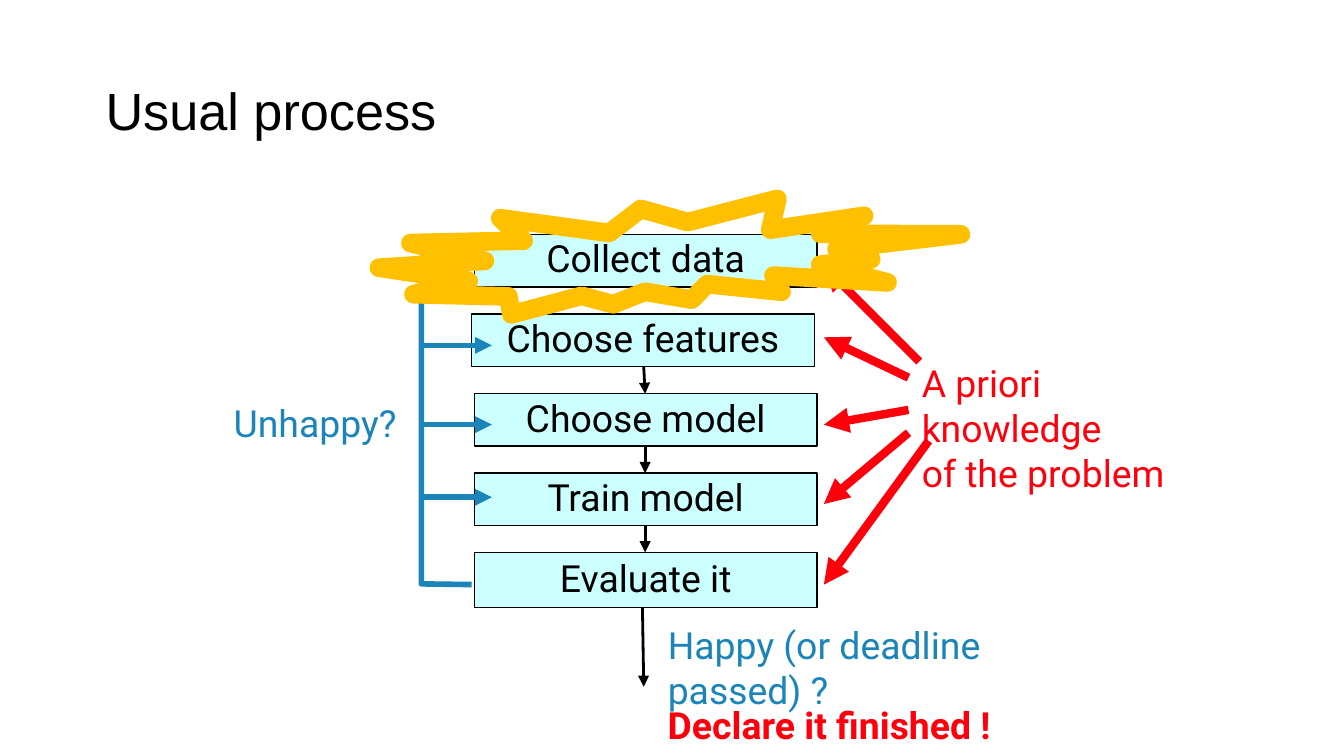
from dataclasses import dataclass

from lxml import etree
from pptx import Presentation
from pptx.dml.color import RGBColor
from pptx.enum.shapes import MSO_CONNECTOR, MSO_SHAPE
from pptx.enum.text import MSO_ANCHOR, MSO_AUTO_SIZE, PP_ALIGN
from pptx.oxml.ns import qn
from pptx.util import Inches, Pt

STRAIGHT = MSO_CONNECTOR.STRAIGHT
RECTANGLE, BURST = MSO_SHAPE.RECTANGLE, MSO_SHAPE.EXPLOSION2
MIDDLE, TOP = MSO_ANCHOR.MIDDLE, MSO_ANCHOR.TOP
LEFT, CENTER = PP_ALIGN.LEFT, PP_ALIGN.CENTER
NO_AUTOFIT = MSO_AUTO_SIZE.NONE

COLORS = {"black": "000000", "box": "CCFFFF", "red": "FE000C",
          "blue": "1B85B9", "amber": "FFC000"}

# Grid of 100 columns by 56.25 rows, with square cells (16:9)
COLUMNS, ROWS = 100, 56.25
CELL = Inches(10) / COLUMNS

FLOW_LEFT, FLOW_TOP = 35.3, 17.45
STEP_WIDTH, STEP_HEIGHT, STEP_PITCH = 25.5, 3.9, 5.92
LOOP_LEFT, LOOP_TIP = 31.35, 36.6
KNOWLEDGE_TIP = 61.3


@dataclass(frozen=True)
class Step:
    text: str
    left: float = FLOW_LEFT
    height: float = STEP_HEIGHT


@dataclass(frozen=True)
class Arrow:
    start: tuple[float, float]
    end: tuple[float, float]


@dataclass(frozen=True)
class Label:
    lines: tuple[str, ...]
    box: tuple[float, float, float, float]
    color: str
    bold: bool = False


def grid(*cells: float) -> list[int]:
    return [round(cell * CELL) for cell in cells]


def rgb(name: str) -> RGBColor:
    return RGBColor.from_string(COLORS[name])


def style_line(shape, color: str, width: float, arrowhead: bool = False) -> None:
    shape.line.color.rgb = rgb(color)
    shape.line.width = Pt(width)
    outline = shape._element.spPr.find(qn("a:ln"))
    etree.SubElement(outline, qn("a:round"))
    if arrowhead:
        etree.SubElement(outline, qn("a:tailEnd"), type="triangle")


def write(frame, lines: tuple[str, ...], color: str, size: float = 20,
          font: str = "Roboto", bold: bool = False, align=LEFT,
          anchor=TOP, spacing: float = 1.0) -> None:
    frame.text = "\n".join(lines)
    frame.word_wrap = True
    frame.auto_size = NO_AUTOFIT
    frame.vertical_anchor = anchor
    for paragraph in frame.paragraphs:
        paragraph.alignment = align
        paragraph.line_spacing = spacing
        for run in paragraph.runs:
            run.font.name = font
            run.font.size = Pt(size)
            run.font.bold = bold
            run.font.color.rgb = rgb(color)


def draw_step(shapes, step: Step, top: float) -> None:
    box = shapes.add_shape(RECTANGLE, *grid(step.left, top, STEP_WIDTH, step.height))
    box.shadow.inherit = False
    box.fill.solid()
    box.fill.fore_color.rgb = rgb("box")
    style_line(box, "black", 0.75)
    write(box.text_frame, (step.text,), "black", align=CENTER,
          anchor=MIDDLE, spacing=0.9)


def draw_arrow(shapes, arrow: Arrow, color: str, width: float) -> None:
    line = shapes.add_connector(STRAIGHT, *grid(*arrow.start, *arrow.end))
    style_line(line, color, width, arrowhead=True)
    etree.SubElement(line._element.spPr, qn("a:effectLst"))


def draw_label(shapes, label: Label) -> None:
    box = shapes.add_textbox(*grid(*label.box))
    write(box.text_frame, label.lines, label.color, bold=label.bold)


def draw_loop(shapes) -> None:
    corners = [(35.1, 43.5), (LOOP_LEFT, 43.45), (LOOP_LEFT, 19.2), (FLOW_LEFT, 19.3)]
    start, *others = [tuple(grid(*corner)) for corner in corners]
    builder = shapes.build_freeform(*start)
    builder.add_line_segments(others, close=False)
    loop = builder.convert_to_shape()
    loop.shadow.inherit = False
    loop.fill.background()
    style_line(loop, "blue", 3, arrowhead=True)


STEPS = [Step("Collect data"), Step("Choose features", left=35.1),
         Step("Choose model"), Step("Train model"), Step("Evaluate it", height=4.1)]
FLOW_ARROWS = [Arrow((47.9, 27.3), (48, 29.3)), Arrow((48, 33.2), (48, 35.2)),
               Arrow((48, 39.1), (48, 41.1)), Arrow((47.8, 45.2), (47.9, 51.1))]
KNOWLEDGE_ARROWS = [Arrow(start, (KNOWLEDGE_TIP, tip)) for start, tip in [
    ((68.4, 26.9), 19.8), ((67.6, 28.1), 25.1), ((67.6, 30.5), 31.6),
    ((67.6, 32.2), 37.5), ((69.1, 32.8), 43.5)]]
LOOP_ARROWS = [Arrow((LOOP_LEFT, row), (LOOP_TIP, row)) for row in (25.7, 31.6, 37)]
LABELS = [
    Label(("A priori knowledge", "of the problem"), (67.6, 26.3, 24.9, 5.8), "red"),
    Label(("Declare it finished !",), (48.7, 51.75, 29.3, 3.3), "red", bold=True),
    Label(("Happy (or deadline passed) ?",), (48.7, 45.8, 37.9, 3.3), "blue"),
    Label(("Unhappy?",), (16.4, 29.3, 14.2, 3.3), "blue"),
]


def main() -> None:
    deck = Presentation()
    deck.slide_width, deck.slide_height = grid(COLUMNS, ROWS)
    slide = deck.slides.add_slide(deck.slide_layouts[5])
    shapes = slide.shapes

    # Title
    title = shapes.title
    title.left, title.top, title.width, title.height = grid(6.85, 3, 86.25, 10.9)
    write(title.text_frame, ("Usual process",), "black", size=28, font="Arial",
          anchor=MIDDLE, spacing=0.9)

    # Process steps from top to bottom
    for row, step in enumerate(STEPS):
        draw_step(shapes, step, FLOW_TOP + row * STEP_PITCH)
    for arrow in FLOW_ARROWS:
        draw_arrow(shapes, arrow, "black", 1.5)

    # Feedback loop, prior knowledge and captions
    draw_loop(shapes)
    for arrow in LOOP_ARROWS:
        draw_arrow(shapes, arrow, "blue", 3)
    for arrow in KNOWLEDGE_ARROWS:
        draw_arrow(shapes, arrow, "red", 4.5)
    for label in LABELS:
        draw_label(shapes, label)

    # Burst around the first step
    burst = shapes.add_shape(BURST, *grid(28.2, 14.8, 43.3, 8.6))
    burst.shadow.inherit = False
    burst.fill.background()
    style_line(burst, "amber", 10)

    deck.save("out.pptx")


if __name__ == "__main__":
    main()
